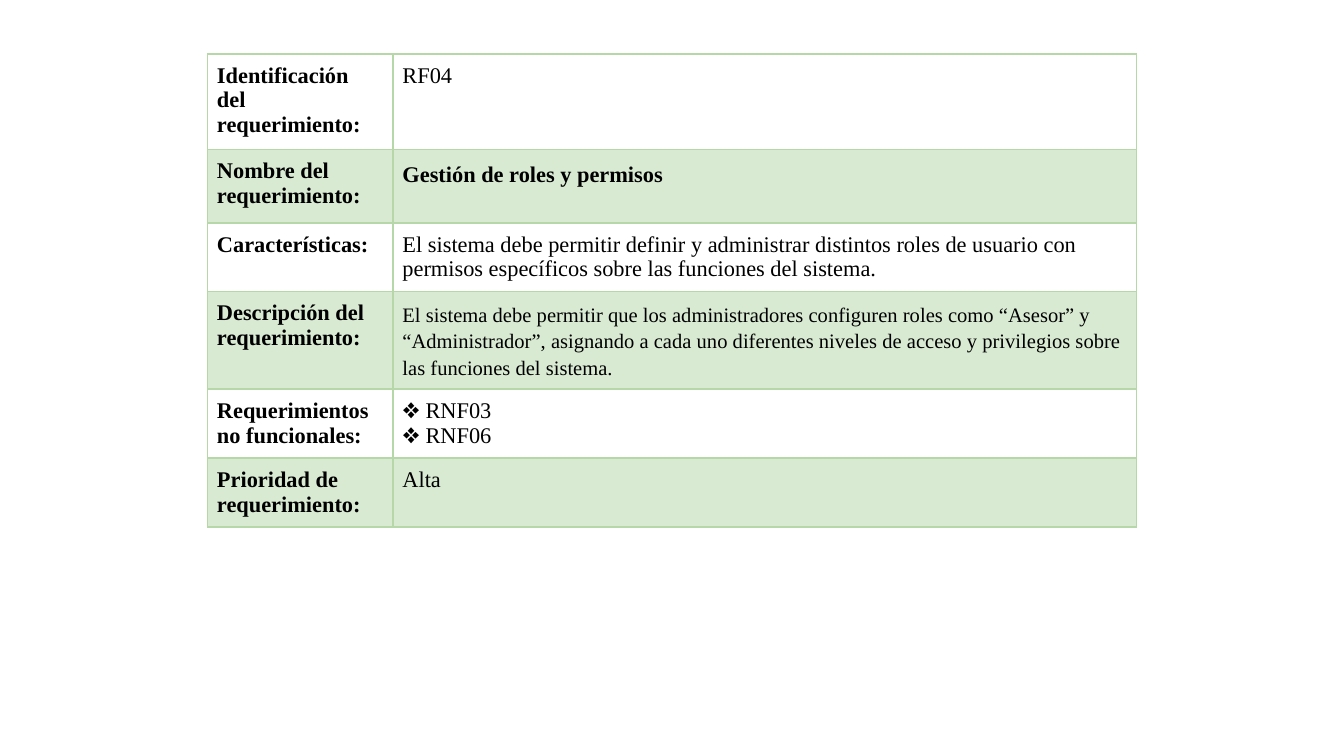
from dataclasses import dataclass

import pptx
import pptx.dml.color
import pptx.enum.text
import pptx.oxml
import pptx.oxml.ns
import pptx.table
import pptx.util


@dataclass(frozen=True)
class Theme:
    font: str = "Times New Roman"
    body_size: float = 12
    small_size: float = 11
    text: str = "000000"
    band: str = "D9EAD3"
    border: str = "B6D7A8"
    border_width: float = 1


@dataclass(frozen=True)
class Requirement:
    height: float  # grid units
    label: tuple[str, ...]
    value: tuple[str, ...]
    bold: bool = False
    size: float = Theme.body_size
    spacing: float = 1.0


THEME = Theme()
SLIDE_WIDTH = pptx.util.Inches(10)
SLIDE_HEIGHT = SLIDE_WIDTH * 9 // 16
UNIT = SLIDE_WIDTH / 100  # the grid has 100 columns, with square cells
TABLE_LEFT, TABLE_TOP = 15.45, 4
COLUMNS = (13.8, 55.3)
CELL_MARGIN = 0.7

REQUIREMENTS = (
    Requirement(7.13, ("Identificación", "del", "requerimiento:"), ("RF04",)),
    Requirement(5.45, ("Nombre del", "requerimiento:"),
                ("Gestión de roles y permisos",), bold=True, spacing=1.15),
    Requirement(5.12, ("Características:",),
                ("El sistema debe permitir definir y administrar distintos roles de "
                 "usuario con permisos específicos sobre las funciones del sistema.",)),
    Requirement(7.27, ("Descripción del", "requerimiento:"),
                ("El sistema debe permitir que los administradores configuren roles "
                 "como “Asesor” y “Administrador”, asignando a cada uno diferentes "
                 "niveles de acceso y privilegios sobre las funciones del sistema.",),
                size=THEME.small_size, spacing=1.15),
    Requirement(5.12, ("Requerimientos", "no funcionales:"), ("❖ RNF03", "❖ RNF06")),
    Requirement(5.12, ("Prioridad de", "requerimiento:"), ("Alta",)),
)


def grid(units: float) -> int:
    """Turn grid units into a length."""
    return round(units * UNIT)


def rgb(color: str) -> pptx.dml.color.RGBColor:
    return pptx.dml.color.RGBColor.from_string(color)


def write_cell(cell: pptx.table._Cell, lines: tuple[str, ...], bold: bool,
               size: float, spacing: float) -> None:
    cell.margin_left = cell.margin_right = grid(CELL_MARGIN)
    cell.margin_top = cell.margin_bottom = grid(CELL_MARGIN)
    cell.vertical_anchor = pptx.enum.text.MSO_ANCHOR.TOP
    frame = cell.text_frame
    for index, line in enumerate(lines):
        para = frame.add_paragraph() if index else frame.paragraphs[0]
        para.line_spacing = spacing
        span = para.add_run()
        span.text = line
        span.font.name = THEME.font
        span.font.size = pptx.util.Pt(size)
        span.font.bold = bold
        span.font.color.rgb = rgb(THEME.text)


def paint_cell(cell: pptx.table._Cell, banded: bool) -> None:
    if banded:
        cell.fill.solid()
        cell.fill.fore_color.rgb = rgb(THEME.band)
    else:
        cell.fill.background()
    properties = cell._tc.get_or_add_tcPr()
    width = pptx.util.Pt(THEME.border_width)
    for index, side in enumerate(("lnL", "lnR", "lnT", "lnB")):
        border = pptx.oxml.parse_xml(
            f'<a:{side} {pptx.oxml.ns.nsdecls("a")} w="{width}">'
            f'<a:solidFill><a:srgbClr val="{THEME.border}"/></a:solidFill></a:{side}>')
        properties.insert(index, border)


def main() -> None:
    deck = pptx.Presentation()
    deck.slide_width, deck.slide_height = SLIDE_WIDTH, SLIDE_HEIGHT
    slide = deck.slides.add_slide(deck.slide_layouts[6])
    total_height = sum(item.height for item in REQUIREMENTS)
    table = slide.shapes.add_table(
        len(REQUIREMENTS), len(COLUMNS), grid(TABLE_LEFT), grid(TABLE_TOP),
        grid(sum(COLUMNS)), grid(total_height)).table
    table.first_row = table.horz_banding = False
    for column, width in zip(table.columns, COLUMNS):
        column.width = grid(width)

    for index, (row, item) in enumerate(zip(table.rows, REQUIREMENTS)):
        row.height = grid(item.height)
        label, value = row.cells
        write_cell(label, item.label, True, THEME.body_size, 1.0)
        write_cell(value, item.value, item.bold, item.size, item.spacing)
        for cell in (label, value):
            paint_cell(cell, banded=index % 2 == 1)

    deck.save("out.pptx")


if __name__ == "__main__":
    main()
